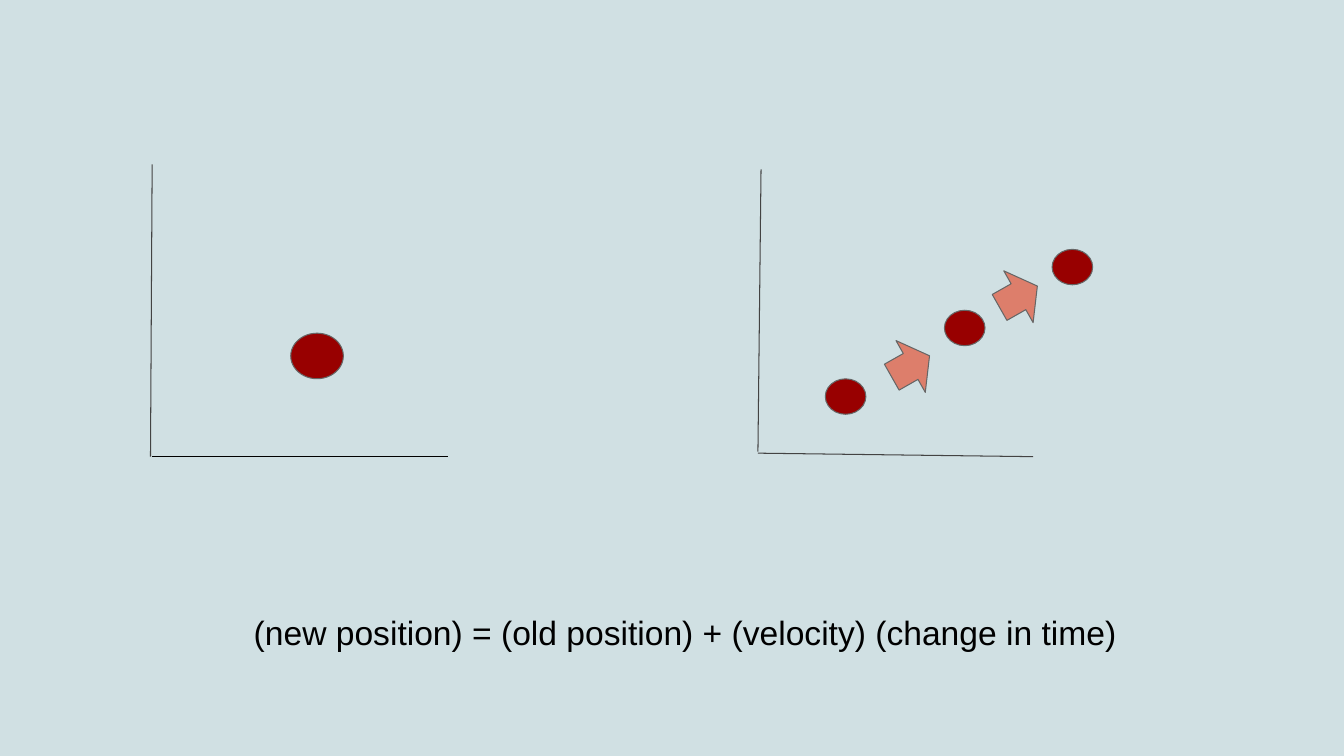
from dataclasses import dataclass

from lxml import etree
from pptx import Presentation
from pptx import util as u
from pptx.dml import color
from pptx.enum import shapes, text
from pptx.oxml import ns


@dataclass(frozen=True)
class Theme:
    """Colours, type and line sizes of the slide."""
    background: str = "D0E0E3"
    axis: str = "434343"
    ink: str = "000000"
    ball: str = "980000"
    arrow: str = "DD7E6B"
    outline: str = "666666"
    font: str = "Arial"
    formula_size: float = 24
    line_width: float = 0.75


class MotionSlide:
    """Draws motion diagrams on one slide, with lengths in points."""

    def __init__(self, slide, theme):
        """Keep the slide and theme and paint the background."""
        self.slide = slide
        self.theme = theme
        self.paint(slide.background.fill, theme.background)

    def paint(self, fill, rgb):
        """Give a fill one solid colour."""
        fill.solid()
        fill.fore_color.rgb = color.RGBColor.from_string(rgb)

    def stroke(self, line, rgb):
        """Give a line its colour and the common width."""
        self.paint(line.fill, rgb)
        line.width = u.Pt(self.theme.line_width)

    def axis(self, start, end, rgb):
        """Draw a straight axis between two points."""
        ends = [u.Pt(value) for value in (*start, *end)]
        connector = self.slide.shapes.add_connector(shapes.MSO_CONNECTOR.STRAIGHT, *ends)
        self.stroke(connector.line, rgb)
        etree.SubElement(connector.element.spPr, ns.qn("a:effectLst"))

    def marker(self, kind, left, top, width, height, rgb):
        """Draw an outlined preset shape and return it."""
        box = [u.Pt(value) for value in (left, top, width, height)]
        shape = self.slide.shapes.add_shape(kind, *box)
        shape.shadow.inherit = False
        self.paint(shape.fill, rgb)
        self.stroke(shape.line, self.theme.outline)
        return shape

    def ball(self, left, top, width, height):
        """Draw a moving ball."""
        self.marker(shapes.MSO_SHAPE.FLOWCHART_CONNECTOR, left, top, width, height, self.theme.ball)

    def arrow(self, left, top, width, height, rotation):
        """Draw a tilted block arrow."""
        arrow = self.marker(shapes.MSO_SHAPE.RIGHT_ARROW, left, top, width, height, self.theme.arrow)
        arrow.rotation = rotation

    def formula(self, left, top, width, height, wording):
        """Write a formula in a vertically centred text box."""
        box = [u.Pt(value) for value in (left, top, width, height)]
        frame = self.slide.shapes.add_textbox(*box).text_frame
        frame.word_wrap = True
        frame.vertical_anchor = text.MSO_ANCHOR.MIDDLE
        frame.margin_left = frame.margin_right = u.Pt(7.2)
        frame.margin_top = frame.margin_bottom = u.Pt(7.2)
        run = frame.paragraphs[0].add_run()
        run.text = wording
        run.font.name = self.theme.font
        run.font.size = u.Pt(self.theme.formula_size)
        run.font.color.rgb = color.RGBColor.from_string(self.theme.ink)


def main():
    """Build and save the slide."""
    presentation = Presentation()
    presentation.slide_width = u.Pt(960)
    presentation.slide_height = u.Pt(540)
    theme = Theme()
    motion = MotionSlide(presentation.slides.add_slide(presentation.slide_layouts[6]), theme)

    motion.axis((108.7, 117.4), (107.5, 326.2), theme.axis)
    motion.axis((108.7, 326.2), (320.2, 326.2), theme.ink)
    motion.axis((543.6, 121), (541.4, 322.6), theme.axis)
    motion.axis((541.4, 323.7), (738, 326.2), theme.axis)

    motion.ball(207.7, 238, 37.6, 32.5)
    for left, top in ((589.5, 270.6), (674.6, 221.6), (751.5, 178.1)):
        motion.ball(left, top, 29, 25.3)
    for left, top in ((635, 240.5), (712, 190.7)):
        motion.arrow(left, top, 31, 42.5, 330.5)

    motion.formula(174.2, 362.2, 650.9, 178.5,
                   "(new position) = (old position) + (velocity) (change in time)")
    presentation.save("out.pptx")


if __name__ == "__main__":
    main()
